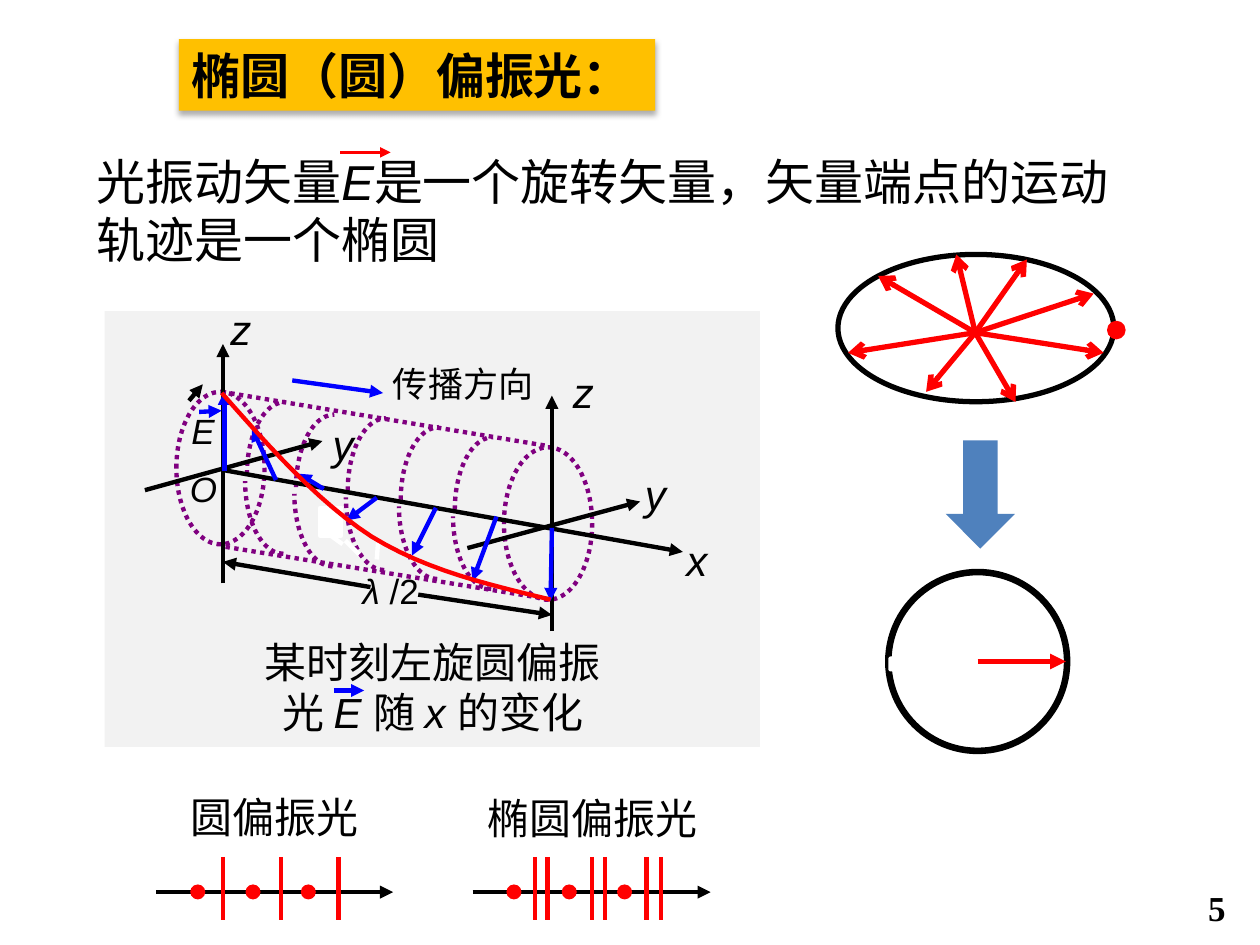
from pptx import Presentation
from pptx.dml.color import RGBColor
from pptx.enum.dml import MSO_LINE
from pptx.enum.shapes import MSO_CONNECTOR, MSO_SHAPE
from pptx.enum.text import MSO_ANCHOR, MSO_AUTO_SIZE, PP_ALIGN
from pptx.oxml import parse_xml
from pptx.oxml.ns import nsdecls, qn
from pptx.util import Pt
from lxml import etree

BLACK, RED, BLUE, PURPLE, WHITE = "000000", "FF0000", "0000FF", "800080", "FFFFFF"
color = RGBColor.from_string
deck = Presentation()
deck.slide_width, deck.slide_height = Pt(720), Pt(540)
slide = deck.slides.add_slide(deck.slide_layouts[5])
shapes = slide.shapes


def rule(x1, y1, x2, y2, hue, width=2.5, tip="triangle"):
    link = shapes.add_connector(MSO_CONNECTOR.STRAIGHT, Pt(x1), Pt(y1), Pt(x2), Pt(y2))
    link.line.color.rgb = color(hue)
    link.line.width = Pt(width)
    if tip:
        etree.SubElement(link.line._get_or_add_ln(), qn("a:tailEnd"), type=tip)
    etree.SubElement(link._element.spPr, qn("a:effectLst"))
    return link


def label(x, y, w, h, runs, size, align=PP_ALIGN.LEFT, inset=(0, 0), face="Arial"):
    frame = shapes.add_textbox(Pt(x), Pt(y), Pt(w), Pt(h)).text_frame
    frame.word_wrap = True
    frame.margin_left = frame.margin_right = Pt(inset[0])
    frame.margin_top = frame.margin_bottom = Pt(inset[1])
    para = frame.paragraphs[0]
    para.alignment = align
    para.font.size, para.font.name = Pt(size), face
    para.font.color.rgb = color(BLACK)
    for words, slant in runs:
        run = para.add_run()
        run.text = words
        if slant:
            run.font.italic = True
    return para


title = shapes.title
title.left, title.top, title.width, title.height = Pt(102.2), Pt(22.3), Pt(272.2), Pt(41)
title.fill.solid()
title.fill.fore_color.rgb = color("FFC000")
title._element.spPr.append(parse_xml(
    f'<a:effectLst {nsdecls("a")}><a:outerShdw blurRad="44450" dist="27940" dir="5400000">'
    '<a:srgbClr val="000000"><a:alpha val="32000"/></a:srgbClr></a:outerShdw></a:effectLst>'))
head = title.text_frame
head.text = "椭圆（圆）偏振光："
head.auto_size = MSO_AUTO_SIZE.NONE
head.vertical_anchor = MSO_ANCHOR.TOP
para = head.paragraphs[0]
para.alignment = PP_ALIGN.LEFT
para.font.size, para.font.name, para.font.bold = Pt(28), "Times New Roman", True
para.font.color.rgb = color(BLACK)

page = label(683.3, 503.3, 28, 31.7, [("5", False)], 20, inset=(7.2, 3.6), face="Times New Roman")
page.font.bold = True

OVAL, RECT = MSO_SHAPE.OVAL, MSO_SHAPE.RECTANGLE
forms = [
    (OVAL, 478.8, 145.4, 157.7, 84.2, WHITE, BLACK, 3),
    (OVAL, 507.6, 326.9, 102.2, 102.2, WHITE, BLACK, 3.75),
    (MSO_SHAPE.ROUNDED_RECTANGLE, 507.6, 375.1, 51.1, 8.6, WHITE, None, 0),
    (MSO_SHAPE.DOWN_ARROW, 540.4, 251.6, 39.6, 61.9, "4F81BD", None, 0),
    (RECT, 59.8, 177.8, 374.4, 249.1, "F2F2F2", None, 0),
    (RECT, 182.9, 290.2, 12.2, 15.8, WHITE, WHITE, 2.5),
    (OVAL, 100.8, 223.9, 50.4, 87.1, None, PURPLE, 2.5),
    (OVAL, 288, 255.6, 50.4, 87.1, None, PURPLE, 2.5),
]
arcs = []
for x, y in [(141.1, 229.7), (169.2, 236.9), (198.7, 239), (229, 244.1), (259.9, 249.8)]:
    for dx, dy, start in [(0, 0, 108), (-1, 3.8, 54)]:
        arcs.append(start)
        forms.append((MSO_SHAPE.ARC, x + dx, y + dy, 43.7, 83, None, PURPLE, 2.5))
angles = iter(arcs)

for kind, x, y, w, h, fill, edge, width in forms:
    form = shapes.add_shape(kind, Pt(x), Pt(y), Pt(w), Pt(h))
    form.shadow.inherit = False
    if kind == MSO_SHAPE.ARC:
        start = next(angles)
        form.adjustments[0], form.adjustments[1] = start, start + 54
    if fill:
        form.fill.solid()
        form.fill.fore_color.rgb = color(fill)
    else:
        form.fill.background()
    if edge:
        form.line.color.rgb = color(edge)
        form.line.width = Pt(width)
    else:
        form.line.fill.background()
    if edge == PURPLE:
        form.line.dash_style = MSO_LINE.ROUND_DOT

for x, y in [(586.8, 148.3), (546.5, 145.4), (501.8, 157.7), (484.6, 201.6),
             (529.2, 223.9), (625, 167.8), (580.3, 229.7), (630.7, 201.6)]:
    rule(557.3, 190.1, x, y, RED, 3, "arrow")
rule(558.7, 378, 609.1, 378, RED, 3)

for ends in [(126.7, 223.9, 313.2, 254.9), (128.9, 312.5, 315.4, 342.7)]:
    rule(*ends, PURPLE, tip=None).line.dash_style = MSO_LINE.ROUND_DOT
for ends in [(82.8, 280.1, 184.3, 252), (127.4, 333.4, 127.4, 196.6),
             (267.1, 313.2, 365.8, 286.6), (315.4, 360.7, 315.4, 226.1),
             (127.4, 268.6, 390.2, 315.4), (108, 229, 115.9, 219.6),
             (239, 339.8, 315.4, 351.4), (211.7, 335.5, 127.4, 321.1)]:
    rule(*ends, BLACK)
for ends in [(167, 217.4, 218.9, 224.6), (128.2, 269.3, 128.2, 223.9),
             (315.4, 301.7, 314.6, 343.4), (157.7, 274.3, 144, 244.8),
             (185, 279.4, 170.6, 270.7), (215.3, 284.4, 198, 297.4),
             (249.1, 290.2, 235.4, 317.5), (283.7, 295.2, 270, 331.9),
             (113.8, 235.4, 126.7, 234.7), (190.8, 394.6, 208.1, 394.6)]:
    rule(*ends, BLUE)
for ends in [(187.9, 305.3, 195.8, 311), (197.3, 308.9, 205.2, 316.8), (216, 310.3, 215.3, 319.7)]:
    rule(*ends, WHITE, tip=None)

knots = [(126.7, 224.6), (154.1, 255.6), (181.4, 286.6), (212.4, 306.7),
         (244.1, 326.2), (279.4, 334.1), (314.6, 342.7)]
trace = []
for first in (0, 3):
    for step in range(1, 13):
        t = step / 12
        parts = ((1 - t) ** 3, 3 * t * (1 - t) ** 2, 3 * t * t * (1 - t), t ** 3)
        trace.append(tuple(Pt(sum(p * k[axis] for p, k in zip(parts, knots[first:first + 4])))
                           for axis in (0, 1)))
pen = shapes.build_freeform(Pt(knots[0][0]), Pt(knots[0][1]))
pen.add_line_segments(trace, close=False)
curve = pen.convert_to_shape()
curve.shadow.inherit = False
curve.fill.background()
curve.line.color.rgb = color(RED)
curve.line.width = Pt(2.5)

for x, y, w, h, words, size, slant in [
        (131.6, 173.5, 23, 32, "z", 24, True), (327.4, 209.5, 23, 24, "z", 24, True),
        (368.6, 267.8, 17, 24, "y", 24, True), (190.1, 239, 23, 24, "y", 24, True),
        (392.2, 305.3, 20, 24, "x", 24, True), (109.4, 234, 20, 24, "E", 20, True),
        (108.5, 267, 22, 24, "O", 20, True), (224.6, 207.4, 86.4, 23, "传播方向", 20, False),
        (108.7, 452.2, 98.6, 53, "圆偏振光", 24, False)]:
    label(x, y, w, h, [(words, slant)], size)
label(207.2, 325.4, 40, 32, [("λ", True), (" /2", False)], 20)
label(139.7, 363.6, 215.3, 65.5,
      [("某时刻左旋圆偏振光 ", False), ("E ", True), ("随 ", False), ("x ", True), ("的变化", False)],
      24, PP_ALIGN.CENTER)
label(259.2, 452.9, 159.1, 34.6, [("椭圆偏振光", False)], 24, PP_ALIGN.CENTER)
label(48.2, 82.8, 596.2, 74.9,
      [("光振动矢量", False), ("E", True), ("是一个旋转矢量，矢量端点的运动轨迹是一个椭圆", False)],
      28, inset=(7.2, 3.6))
rule(194.4, 87.1, 223.2, 87.1, RED, 1.75)

for left, right, dot, bars in [
        (89.3, 224.6, 108.7, (127.4, 160.6, 193.5)),
        (270, 406.1, 289.4, (305.6, 312.8, 338.4, 345.6, 369.4, 377.6))]:
    rule(left, 509.8, right, 509.8, BLACK)
    for x in bars:
        rule(x, 489.6, x, 525.6, RED, tip=None)
    dots = [(dot + 31.6 * i, 505.4) for i in range(3)]
    if left == 270:
        dots.append((633.6, 184.3))
    for x, y in dots:
        spot = shapes.add_shape(OVAL, Pt(x), Pt(y), Pt(8.6), Pt(8.6))
        spot.shadow.inherit = False
        spot.fill.solid()
        spot.fill.fore_color.rgb = color(RED)
        if y < 505:
            spot.line.color.rgb = color(RED)
            spot.line.width = Pt(2)
        else:
            spot.line.fill.background()

deck.save("out.pptx")
